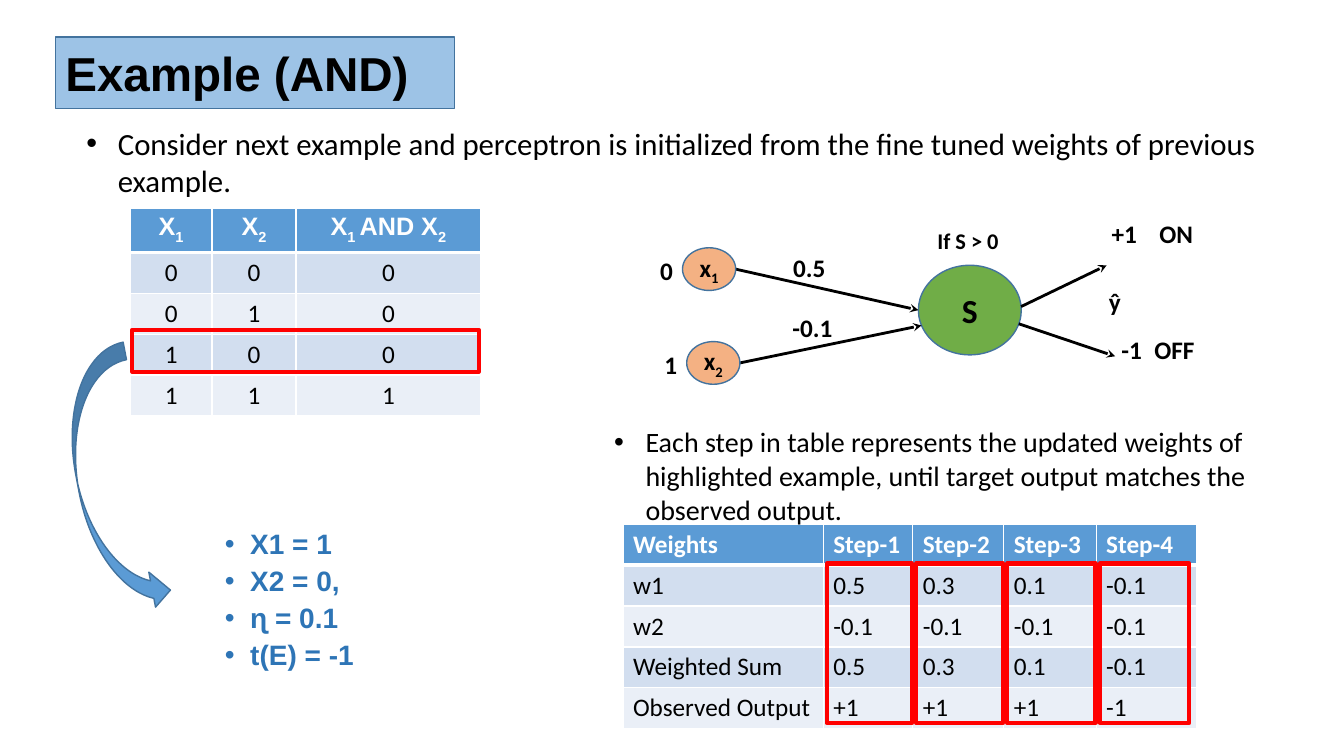
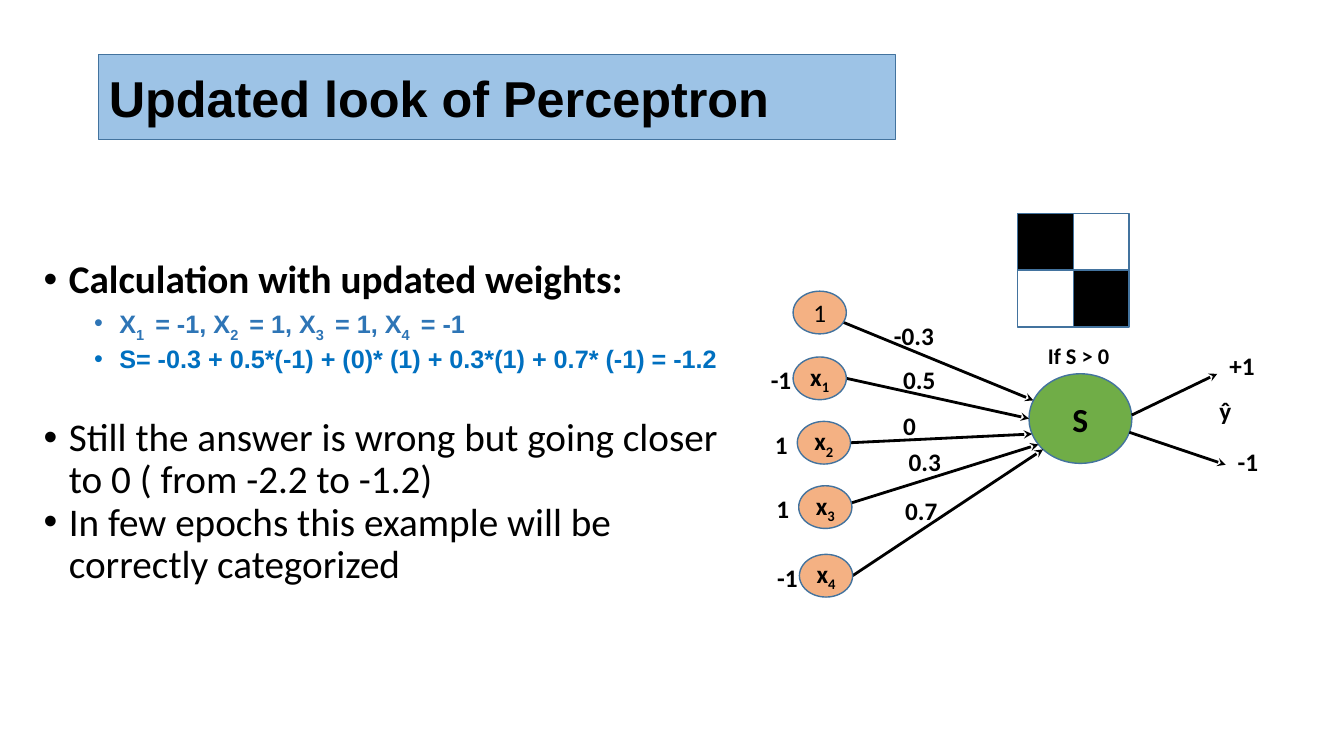
from math import sqrt

from lxml.etree import SubElement
from pptx import Presentation
from pptx.dml.color import RGBColor
from pptx.enum.shapes import MSO_CONNECTOR, MSO_SHAPE
from pptx.enum.text import MSO_ANCHOR, MSO_AUTO_SIZE, PP_ALIGN
from pptx.oxml.ns import qn
from pptx.util import Pt

# Shared look
COLORS = {
    "title": "9DC3E6", "outline": "43739E", "input": "F4B183", "sum": "70AD47",
    "header": "5B9BD5", "odd": "D2DEEF", "even": "EAEFF7", "mark": "FF0000",
    "fact": "2E75B6", "formula": "0070C0", "black": "000000", "white": "FFFFFF",
}
# font, size, colour, bold, left margin, hang, line spacing, space before
LIST_STYLES = {
    "intro": ("Calibri", 22, "black", False, 22.5, 22.5, 1.0, 0),
    "note": ("Calibri", 20, "black", False, 22.5, 22.5, 1.0, 0),
    "fact": ("Arial", 20, "fact", True, 18, 18, 0.9, 5),
    "heading": ("Calibri", 28, "black", True, 18, 18, 0.9, 10),
    "values": ("Arial", 18, "fact", True, 54, 18, 0.9, 5),
    "formula": ("Arial", 18, "formula", True, 54, 18, 0.9, 5),
    "result": ("Calibri", 28, "black", False, 18, 18, 0.9, 31),
    "outlook": ("Calibri", 28, "black", False, 18, 18, 0.9, 0),
}
NODE_W, NODE_H = 38, 30.5
SUM_W, SUM_H = 73.5, 64
ROW_H = 29.2

# Content; braces hold subscripts
INTRO = [("intro", "Consider next example and perceptron is initialized from the "
                   "fine tuned weights of previous example.")]
NOTE = [("note", "Each step in table represents the updated weights of highlighted "
                 "example, until target output matches the observed output.")]
FACTS = [("fact", t) for t in ("X1 = 1", "X2 = 0,", "ɳ = 0.1", "t(E) = -1")]
CALCULATION = [
    ("heading", "Calculation with updated weights:"),
    ("values", "X{1 } = -1, X{2 } = 1, X{3 } = 1, X{4 } = -1"),
    ("formula", "S= -0.3 + 0.5*(-1) + (0)* (1) + 0.3*(1) + 0.7* (-1) = -1.2"),
    ("result", "Still the answer is wrong but going closer to 0 ( from -2.2 to -1.2)"),
    ("outlook", "In few epochs this example will be correctly categorized"),
]
AND_TABLE = [
    ("X{1}", "X{2}", "X{1 }AND X{2}"),
    ("0", "0", "0"), ("0", "1", "0"), ("1", "0", "0"), ("1", "1", "1"),
]
AND_COLS = (58.5, 60, 132)
STEP_TABLE = [
    ("Weights", "Step-1", "Step-2", "Step-3", "Step-4"),
    ("w1", "0.5", "0.3", "0.1", "-0.1"),
    ("w2", "-0.1", "-0.1", "-0.1", "-0.1"),
    ("Weighted Sum", "0.5", "0.3", "0.1", "-0.1"),
    ("Observed Output", "+1", "+1", "+1", "-1"),
]
STEP_COLS = (143, 64, 65, 66, 72)

# value, node name, node x, y, exit height, weight, weight x, y, entry height
AND_INPUTS = [
    ("0", "x{1}", 487.5, 177, 0, "0.5", 559.5, 177, 0),
    ("1", "x{2}", 490.5, 244, 0, "-0.1", 559, 219.5, 11),
]
UPDATED_INPUTS = [
    ("", "1", 566.5, 208, 7, "-0.3", 631.5, 225, -13),
    ("-1", "x{1}", 566.5, 255, 0, "0.5", 638, 257, 0),
    ("1", "x{2}", 569.5, 301, 0, "0", 638, 289.5, 11),
    ("1", "x{3}", 570.5, 347, -3, "0.3", 642, 315.5, 18.5),
    ("-1", "x{4}", 571, 396, 0, "0.7", 639.5, 350.5, 22),
]
# text, x, y
AND_LABELS = [("If S > 0", 662.5, 158.5), ("+1", 787, 152.5), ("ON", 821, 152.5),
              ("-1", 794, 235), ("OFF", 817.5, 235)]
UPDATED_LABELS = [("If S > 0", 741.5, 241), ("+1", 871, 247), ("-1", 877, 315.5)]


def rgb(name):
    return RGBColor.from_string(COLORS[name])


def write(p, text, size=18, font="Calibri", color="black", bold=True, align=PP_ALIGN.LEFT):
    p.alignment = align
    for i, part in enumerate(text.replace("}", "{").split("{")):
        if not part:
            continue
        r = p.add_run()
        r.text = part
        r.font.name, r.font.size, r.font.bold = font, Pt(size), bold
        r.font.color.rgb = rgb(color)
        if i % 2:
            r.font._element.set("baseline", "-25000")


def place(sp, x, y, w, h):
    sp.left, sp.top, sp.width, sp.height = Pt(x), Pt(y), Pt(w), Pt(h)


def add_title(s, text, size, box):
    sp = s.shapes.title
    place(sp, *box)
    geom = SubElement(sp._element.spPr, qn("a:prstGeom"), prst="roundRect")
    SubElement(geom, qn("a:avLst"))
    sp.fill.solid()
    sp.fill.fore_color.rgb = rgb("title")
    sp.line.color.rgb = rgb("outline")
    sp.line.width = Pt(1)
    tf = sp.text_frame
    tf.auto_size = MSO_AUTO_SIZE.NONE
    tf.vertical_anchor = MSO_ANCHOR.MIDDLE
    write(tf.paragraphs[0], text, size, "Arial")


def add_list(sp, items, box):
    place(sp, *box)
    tf = sp.text_frame
    tf.word_wrap = True
    tf.auto_size = MSO_AUTO_SIZE.NONE
    tf.vertical_anchor = MSO_ANCHOR.TOP
    for i, (style, text) in enumerate(items):
        font, size, color, bold, margin, hang, spacing, before = LIST_STYLES[style]
        p = tf.add_paragraph() if i else tf.paragraphs[0]
        write(p, text, size, font, color, bold)
        p.line_spacing, p.space_before, p.space_after = spacing, Pt(before), Pt(0)
        pPr = p._p.get_or_add_pPr()
        pPr.set("marL", str(Pt(margin)))
        pPr.set("indent", str(-Pt(hang)))
        SubElement(pPr, qn("a:buFont"), typeface="Arial")
        SubElement(pPr, qn("a:buChar"), char="•")


def add_shape(s, kind, x, y, w, h, fill=None, line="outline", width=1, text="", size=18,
              bold=True):
    sp = s.shapes.add_shape(kind, Pt(x), Pt(y), Pt(w), Pt(h))
    sp.shadow.inherit = False
    if fill:
        sp.fill.solid()
        sp.fill.fore_color.rgb = rgb(fill)
    else:
        sp.fill.background()
    sp.line.color.rgb = rgb(line)
    sp.line.width = Pt(width)
    if text:
        tf = sp.text_frame
        tf.margin_left = tf.margin_right = tf.margin_top = tf.margin_bottom = 0
        tf.word_wrap = False
        tf.vertical_anchor = MSO_ANCHOR.MIDDLE
        write(tf.paragraphs[0], text, size, bold=bold, align=PP_ALIGN.CENTER)
    return sp


def add_label(s, text, x, y, w=50, size=18):
    tf = s.shapes.add_textbox(Pt(x), Pt(y), Pt(w), Pt(29)).text_frame
    tf.word_wrap = True
    write(tf.paragraphs[0], text, size)


def add_arrow(s, start, end):
    cx = s.shapes.add_connector(MSO_CONNECTOR.STRAIGHT, *map(Pt, start + end))
    cx.line.color.rgb = rgb("black")
    cx.line.width = Pt(2)
    SubElement(cx.line._get_or_add_ln(), qn("a:tailEnd"), type="stealth")
    SubElement(cx._element.spPr, qn("a:effectLst"))


def edge(x, y, w, h, dy, side):
    """Point of an ellipse dy below its middle, on the left (-1) or right (1)."""
    return (x + w / 2 + side * w / 2 * sqrt(1 - (2 * dy / h) ** 2), y + h / 2 + dy)


def add_perceptron(s, x, y, inputs, labels):
    unit = (x, y, SUM_W, SUM_H)
    add_shape(s, MSO_SHAPE.OVAL, *unit, "sum", text="S", size=24)
    for value, name, nx, ny, leave, weight, wx, wy, enter in inputs:
        node = (nx, ny, NODE_W, NODE_H)
        add_arrow(s, edge(*node, leave, 1), edge(*unit, enter, -1))
        add_shape(s, MSO_SHAPE.OVAL, *node, "input", text=name, bold=name != "1")
        add_label(s, weight, wx, wy)
        if value:
            add_label(s, value, nx - 23, ny + 2)
    add_arrow(s, edge(*unit, -2.5, 1), (x + 134.5, y))
    add_arrow(s, edge(*unit, 9.8, 1), (x + 140.5, y + 65))
    add_label(s, "ŷ", x + 129, y + 11.5)
    for text, lx, ly in labels:
        wide = text.startswith("If")
        add_label(s, text, lx, ly, 75 if wide else 50, 16 if wide else 18)


def add_border(cell, side, width):
    ln = SubElement(cell._tc.get_or_add_tcPr(), qn("a:ln" + side), w=str(Pt(width)))
    fill = SubElement(ln, qn("a:solidFill"))
    SubElement(fill, qn("a:srgbClr"), val=COLORS["white"])


def add_table(s, rows, cols, x, y, header_font, align):
    tbl = s.shapes.add_table(len(rows), len(cols), Pt(x), Pt(y), Pt(sum(cols)),
                             Pt(ROW_H * len(rows))).table
    for col, w in zip(tbl.columns, cols):
        col.width = Pt(w)
    for i, row in enumerate(rows):
        tbl.rows[i].height = Pt(ROW_H)
        for j, text in enumerate(row):
            cell = tbl.cell(i, j)
            for side in "LRTB":
                heavy = (i, side) in ((0, "B"), (1, "T"))
                add_border(cell, side, 3 if heavy else 1)
            cell.fill.solid()
            cell.fill.fore_color.rgb = rgb(("odd" if i % 2 else "even") if i else "header")
            write(cell.text_frame.paragraphs[0], text, 18, "Calibri" if i else header_font,
                  "black" if i else "white", not i, align)


def add_mark(s, x, y, w, h):
    add_shape(s, MSO_SHAPE.RECTANGLE, x, y, w, h, line="mark", width=3)


def and_slide(prs):
    s = prs.slides.add_slide(prs.slide_layouts[3])
    add_title(s, "Example (AND)", 34, (39.5, 26.5, 285, 51))
    intro, facts = list(s.placeholders)[1:]
    add_list(intro, INTRO, (54.5, 85.5, 854, 60.5))
    add_list(facts, FACTS, (153.5, 375, 227.5, 148.5))
    add_perceptron(s, 656, 189.5, AND_INPUTS, AND_LABELS)

    # Truth table with the chosen example
    x, y = 93, 148.5
    add_table(s, AND_TABLE, AND_COLS, x, y, "Arial", PP_ALIGN.CENTER)
    add_mark(s, x + 1.5, y + 3 * ROW_H - 0.5, sum(AND_COLS) - 3, 30)
    sp = add_shape(s, MSO_SHAPE.CURVED_RIGHT_ARROW, 55.5, 247.5, 51, 193, "header")
    sp.rotation = 349.2

    # Weights after each step
    x, y = 445, 374.5
    add_table(s, STEP_TABLE, STEP_COLS, x, y, "Calibri", PP_ALIGN.LEFT)
    for j, w in enumerate(STEP_COLS[1:], 1):
        add_mark(s, x + sum(STEP_COLS[:j]) + 2.5, y + 28, min(w - 3, 64), 114)
    note = s.shapes.add_textbox(0, 0, 0, 0)
    add_list(note, NOTE, (431.5, 300, 517, 80))


def updated_slide(prs):
    s = prs.slides.add_slide(prs.slide_layouts[1])
    add_title(s, "Updated look of Perceptron", 36, (70.5, 39, 569, 60.5))
    add_list(s.placeholders[1], CALCULATION, (24, 182, 504, 268))
    add_perceptron(s, 735, 267, UPDATED_INPUTS, UPDATED_LABELS)

    # Checkered input pattern
    w, h = 39.8, 40.5
    for i in range(4):
        row, col = divmod(i, 2)
        add_shape(s, MSO_SHAPE.RECTANGLE, 727 + col * w, 152.5 + row * h, w, h,
                  "black" if row == col else "white")


def main():
    prs = Presentation()
    prs.slide_width, prs.slide_height = Pt(960), Pt(540)
    and_slide(prs)
    updated_slide(prs)
    prs.save("out.pptx")


if __name__ == "__main__":
    main()
